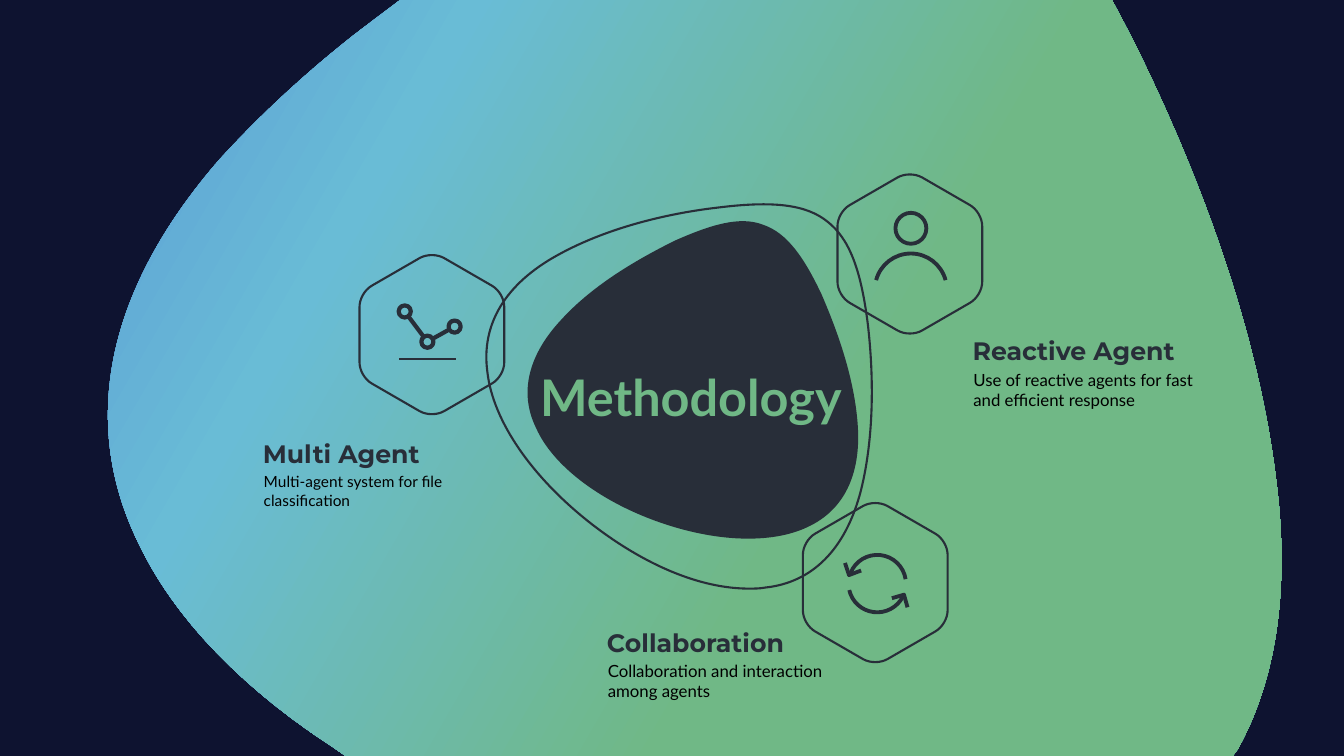
from math import cos, hypot, radians, sin, tan

from lxml.etree import SubElement
from pptx import Presentation
from pptx.dml.color import RGBColor
from pptx.enum.shapes import MSO_CONNECTOR, MSO_SHAPE
from pptx.enum.text import MSO_AUTO_SIZE
from pptx.oxml.ns import qn
from pptx.util import Inches, Pt

COLUMNS, ROWS = 160, 90
CELL = Inches(7.5) // ROWS

NAVY = RGBColor(0x0E, 0x13, 0x30)
INK = RGBColor(0x28, 0x2E, 0x39)
GREEN = RGBColor(0x70, 0xB8, 0x86)
SKY = RGBColor(0x69, 0xBC, 0xD6)
BLUE = RGBColor(0x5B, 0x9B, 0xD5)
BLACK = RGBColor(0, 0, 0)

BACKDROP_STOPS = [(0, BLUE), (23, SKY), (61, GREEN), (100, GREEN)]
BACKDROP_ANGLE = 30

BACKDROP = [
    (47.64, 0), (132.24, 0), (132.36, 0),
    (133.32, 1.8, 134.28, 3.6, 135.24, 5.52),
    (142.68, 20.64, 150.48, 40.56, 152.28, 60.48),
    (153.24, 71.64, 151.68, 81.36, 147.36, 89.16),
    (146.76, 90), (41.16, 90), (39.6, 88.92),
    (28.92, 81.96, 21, 73.8, 16.8, 65.28),
    (9, 50.04, 13.08, 33.96, 26.16, 18.96),
    (31.2, 13.44, 36.84, 8.28, 42.72, 3.72),
]
RING = [
    (89.16, 70.08),
    (83.4, 70.08, 76.8, 67.32, 70.44, 62.4),
    (63.36, 56.88, 58.68, 50.16, 58.02, 44.28),
    (57.24, 38.6, 60.18, 33.78, 66.42, 30.36),
    (72.72, 26.88, 80.22, 25.32, 85.44, 24.72),
    (92.1, 23.88, 96, 24.36, 98.52, 26.4),
    (101.04, 28.38, 102.48, 31.92, 103.32, 38.64),
    (103.92, 43.8, 104.22, 51.48, 102.48, 58.44),
    (100.68, 65.34, 96.78, 69.36, 91.08, 69.96),
    (90.48, 70.08, 89.76, 70.08, 89.16, 70.08),
]
CORE = [
    (90.84, 26.76),
    (93.72, 27.72, 95.76, 30.72, 97.8, 35.04),
    (99.72, 39.48, 101.76, 45.12, 102.12, 50.76),
    (102.48, 56.4, 100.56, 60.72, 96.12, 62.76),
    (91.8, 64.8, 85.08, 64.56, 78.12, 62.04),
    (71.16, 59.52, 65.76, 55.32, 63.84, 51),
    (61.68, 46.68, 63, 42.12, 66.84, 38.04),
    (70.68, 33.84, 75.96, 30.84, 80.28, 28.68),
    (84.6, 26.76, 88.08, 25.68, 90.84, 26.76),
]


def cells(*lengths):
    return [round(length * CELL) for length in lengths]


def between(start, end, share):
    return tuple(a + (b - a) * share for a, b in zip(start, end))


def offset(center, x, y):
    return center[0] + x, center[1] + y


def polar(center, radius, angle):
    return offset(center, radius * cos(radians(angle)), radius * sin(radians(angle)))


def trace(outline, steps=24):
    points = [outline[0]]
    for segment in outline[1:]:
        if len(segment) == 2:
            points.append(segment)
            continue
        first, second, third, last = points[-1], segment[:2], segment[2:4], segment[4:]
        for step in range(1, steps + 1):
            t = step / steps
            left = between(between(first, second, t), between(second, third, t), t)
            right = between(between(second, third, t), between(third, last, t), t)
            points.append(between(left, right, t))
    return points


def arc(center, radius, start, end, pieces=2):
    turn = (end - start) / pieces
    pull = 4 / 3 * tan(radians(turn) / 4) * radius
    outline = [polar(center, radius, start)]
    for piece in range(pieces):
        first, last = start + turn * piece, start + turn * (piece + 1)
        arrival = polar(center, radius, last)
        leaving = polar(outline[-1][-2:], pull, first + 90)
        outline.append(leaving + polar(arrival, pull, last - 90) + arrival)
    return outline


def style(shape, fill=None, width=None):
    shape.shadow.inherit = False
    if fill is None:
        shape.fill.background()
    else:
        shape.fill.solid()
        shape.fill.fore_color.rgb = fill
    if width is None:
        shape.line.fill.background()
    else:
        shape.line.color.rgb = INK
        shape.line.width = Pt(width)


def set_curves(shape, outline, close):
    drawing = next(shape._element.iter(qn("a:path")))
    for child in list(drawing):
        drawing.remove(child)
    names = {2: "a:lnTo", 6: "a:cubicBezTo"}
    for index, segment in enumerate(outline):
        command = SubElement(drawing, qn(names[len(segment)] if index else "a:moveTo"))
        lengths = cells(*segment)
        for x, y in zip(lengths[::2], lengths[1::2]):
            SubElement(command, qn("a:pt"), x=str(x - shape.left), y=str(y - shape.top))
    if close:
        SubElement(drawing, qn("a:close"))


def add_outline(slide, outline, fill=None, width=None, close=True):
    start, *rest = [cells(*point) for point in trace(outline)]
    builder = slide.shapes.build_freeform(*start)
    builder.add_line_segments(rest, close=close)
    shape = builder.convert_to_shape()
    set_curves(shape, outline, close)
    style(shape, fill, width)
    return shape


def add_gradient(shape, stops, angle):
    shape.fill.gradient()
    gradient = shape._element.spPr.find(qn("a:gradFill"))
    for child in list(gradient):
        gradient.remove(child)
    stop_list = SubElement(gradient, qn("a:gsLst"))
    for position, color in stops:
        stop = SubElement(stop_list, qn("a:gs"), pos=str(position * 1000))
        SubElement(stop, qn("a:srgbClr"), val=str(color))
    SubElement(gradient, qn("a:lin"), ang=str(angle * 60000), scaled="0")


def add_circle(slide, center, radius, width):
    box = cells(center[0] - radius, center[1] - radius, 2 * radius, 2 * radius)
    style(slide.shapes.add_shape(MSO_SHAPE.OVAL, *box), width=width)


def add_line(slide, start, end, width):
    connector = slide.shapes.add_connector(MSO_CONNECTOR.STRAIGHT, *cells(*start, *end))
    connector.line.color.rgb = INK
    connector.line.width = Pt(width)
    SubElement(connector._element.spPr, qn("a:effectLst"))


def add_hexagon(slide, center, radius=9.95, rounding=0.17, pull=0.58):
    corners = [polar(center, radius, 60 * index - 90) for index in range(6)]
    outline = []
    for index, corner in enumerate(corners):
        before = between(corner, corners[index - 1], rounding)
        after = between(corner, corners[(index + 1) % 6], rounding)
        controls = between(before, corner, pull) + between(after, corner, pull)
        outline += [before, controls + after]
    add_outline(slide, outline, width=1.5)


def add_graph_icon(slide, center):
    radius = 0.72
    nodes = [offset(center, *place) for place in [(-3.24, -2.76), (-0.54, 0.84), (2.7, -0.96)]]
    for node in nodes:
        add_circle(slide, node, radius, 3)
    for start, end in zip(nodes, nodes[1:]):
        trim = radius / hypot(end[0] - start[0], end[1] - start[1])
        add_line(slide, between(start, end, trim), between(end, start, trim), 3)
    add_line(slide, offset(center, -3.9, 2.94), offset(center, 2.82, 2.94), 1.5)


def add_person_icon(slide, center):
    add_circle(slide, offset(center, 0.12, -3.06), 1.84, 2.75)
    shoulders = arc(offset(center, 0.12, 4.22), 4.28, 195, 345)
    add_outline(slide, shoulders, width=2.75, close=False)


def add_cycle_icon(slide, center):
    middle = offset(center, 0.24, 0.12)
    heads = [
        [(-3.6, -2.34), (-3.12, -0.9), (-1.68, -1.44)],
        [(1.98, 1.86), (3.42, 1.44), (3.84, 2.94)],
    ]
    for (start, end), head in zip([(202, 351), (27, 167)], heads):
        add_outline(slide, arc(middle, 3.42, start, end), width=2.75, close=False)
        add_outline(slide, [offset(center, *point) for point in head], width=2.75, close=False)


def add_text(slide, text, box, size, font, color, bold=False):
    frame = slide.shapes.add_textbox(*cells(*box)).text_frame
    frame.word_wrap = True
    frame.auto_size = MSO_AUTO_SIZE.SHAPE_TO_FIT_TEXT
    paragraph = frame.paragraphs[0]
    paragraph.text = text
    paragraph.font.size = Pt(size)
    paragraph.font.name = font
    paragraph.font.bold = bold
    paragraph.font.color.rgb = color


def add_label(slide, title, body, left, top, title_width, body_size):
    add_text(slide, title, (left, top, title_width, 4.8), 18, "Montserrat", INK, True)
    add_text(slide, body, (left + 0.1, top + 4.02, 29.16, 6), body_size, "Lato", BLACK)


def main():
    presentation = Presentation()
    presentation.slide_width, presentation.slide_height = cells(COLUMNS, ROWS)
    slide = presentation.slides.add_slide(presentation.slide_layouts[6])
    slide.background.fill.solid()
    slide.background.fill.fore_color.rgb = NAVY
    add_gradient(add_outline(slide, BACKDROP, fill=GREEN), BACKDROP_STOPS, BACKDROP_ANGLE)
    for add_icon, center in [
        (add_graph_icon, (51.42, 39.84)),
        (add_cycle_icon, (104.2, 69.36)),
        (add_person_icon, (108.32, 30.24)),
    ]:
        add_icon(slide, center)
        add_hexagon(slide, center)
    add_outline(slide, RING, width=1.5)
    add_outline(slide, CORE, fill=INK)
    for label in [
        ("Multi Agent", "Multi-agent system for file classification", 30.12, 51.6, 21.12, 11),
        ("Collaboration", "Collaboration and interaction among agents", 71.08, 74.04, 23.88, 12),
        ("Reactive Agent", "Use of reactive agents for fast and efficient response", 114.6, 39.36, 26.76, 12),
    ]:
        add_label(slide, *label)
    add_text(slide, "Methodology", (63.12, 42.96, 38.88, 8.52), 36, "Lato", GREEN, True)
    presentation.save("out.pptx")


if __name__ == "__main__":
    main()
